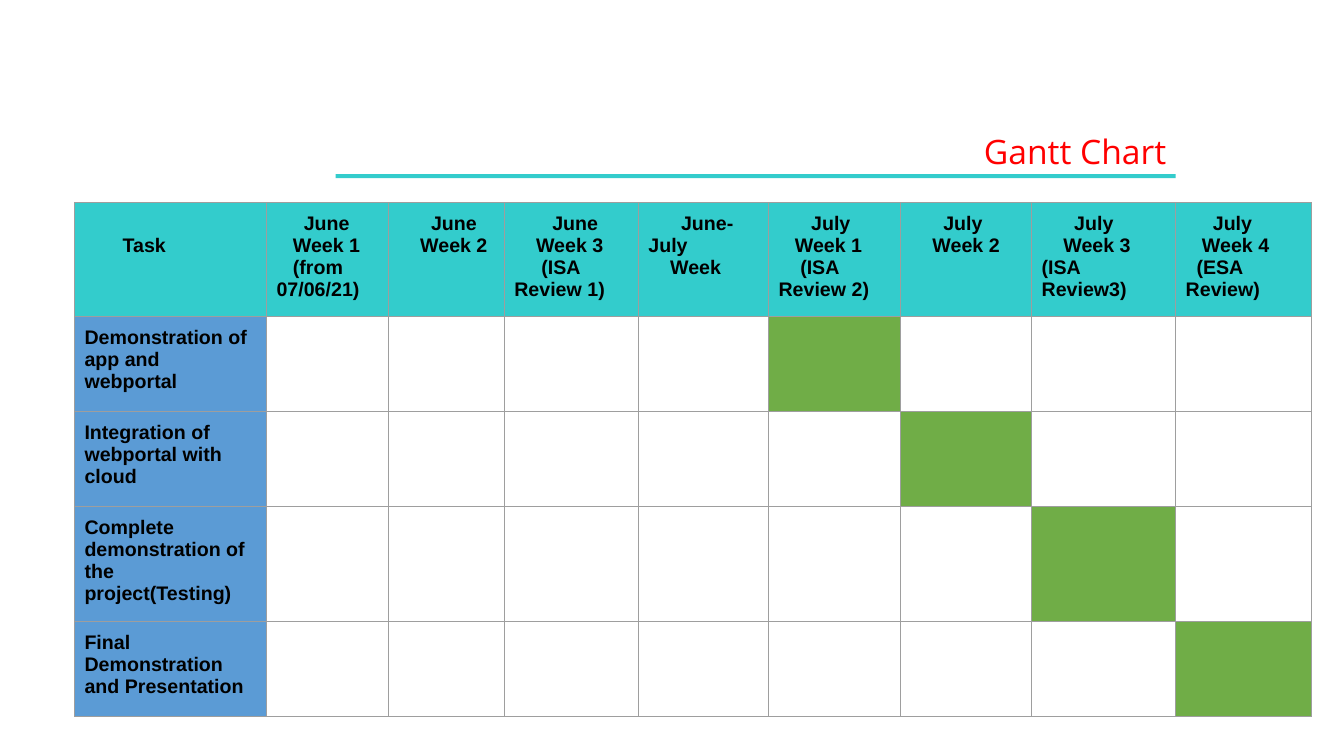
from dataclasses import dataclass

from lxml.etree import SubElement
from pptx import Presentation
from pptx.dml.color import RGBColor
from pptx.enum.shapes import MSO_SHAPE as Preset
from pptx.enum.text import PP_ALIGN as Align
from pptx.oxml.ns import qn
from pptx.slide import Slide
from pptx.table import Table, _Cell as Cell
from pptx.util import Cm, Pt

TEAL = RGBColor(0x33, 0xCC, 0xCC)
BLUE = RGBColor(0x5B, 0x9B, 0xD5)
GREEN = RGBColor(0x70, 0xAD, 0x47)
WHITE = RGBColor(0xFF, 0xFF, 0xFF)
BLACK = RGBColor(0, 0, 0)
RED = RGBColor(0xFF, 0, 0)
GREY = RGBColor(0x9E, 0x9E, 0x9E)

SPACE = Cm(0.137)
PADDING = Cm(0.25)
TASK_TOP = Cm(0.81)
ROW_HEIGHTS = (2.87, 2.39, 2.39, 2.9, 2.39)


@dataclass(frozen=True)
class Line:
    """One heading line and its first-line indent in spaces."""
    text: str
    indent: int = 0


@dataclass(frozen=True)
class Period:
    """One table column: its width in centimetres and its heading."""
    width: float
    heading: tuple[Line, ...]


@dataclass(frozen=True)
class Task:
    """One table row: its label and the column in which it is done."""
    label: str
    due: int


PERIODS = (
    Period(4.84, (Line("Task", 7),)),
    Period(3.07, (Line("June", 5), Line("Week 1", 3), Line("(from 07/06/21)", 3))),
    Period(2.92, (Line("June", 6), Line("Week 2", 4))),
    Period(3.38, (Line("June", 7), Line("Week 3", 4), Line("(ISA", 5), Line("Review 1)"))),
    Period(3.28, (Line("June-July", 6), Line("Week", 4))),
    Period(3.33, (Line("July", 6), Line("Week 1", 3), Line("(ISA", 4), Line("Review 2)"))),
    Period(3.3, (Line("July", 6), Line("Week 2", 4))),
    Period(3.63, (Line("July", 6), Line("Week 3", 4), Line("(ISA Review3)"))),
    Period(3.43, (Line("July", 5), Line("Week 4", 3), Line("(ESA Review)", 2))),
)
TASKS = (
    Task("Demonstration of app and webportal", 5),
    Task("Integration of webportal with cloud", 6),
    Task("Complete demonstration of the project(Testing)", 7),
    Task("Final Demonstration and Presentation", 8),
)


def style_cell(cell: Cell, color: RGBColor) -> None:
    """Give a cell its margins, grey borders and fill."""
    cell.margin_left = cell.margin_right = PADDING
    cell.margin_top = cell.margin_bottom = PADDING
    properties = cell._tc.get_or_add_tcPr()
    for side in ("a:lnL", "a:lnR", "a:lnT", "a:lnB"):
        border = SubElement(properties, qn(side), w=str(Pt(0.75)))
        border_fill = SubElement(border, qn("a:solidFill"))
        SubElement(border_fill, qn("a:srgbClr"), val=str(GREY))
    cell.fill.solid()
    cell.fill.fore_color.rgb = color


def write_lines(cell: Cell, lines: tuple[Line, ...]) -> None:
    """Write bold lines with their own first-line indents."""
    frame = cell.text_frame
    frame.text = "\n".join(line.text for line in lines)
    for paragraph, line in zip(frame.paragraphs, lines):
        properties = paragraph._p.get_or_add_pPr()
        properties.set("marL", "0")
        properties.set("indent", str(line.indent * SPACE))
        font = paragraph.runs[0].font
        font.name, font.size, font.bold = "Arial", Pt(14), True
        font.color.rgb = BLACK


def add_title(slide: Slide) -> None:
    """Add the red title and the rule below it."""
    rule = slide.shapes.add_shape(Preset.RECTANGLE, Cm(8.46), Cm(4.39), Cm(21.17), Cm(0.1))
    rule.shadow.inherit = False
    rule.fill.solid()
    rule.fill.fore_color.rgb = TEAL
    rule.line.fill.background()

    title = slide.shapes.add_textbox(Cm(8.05), Cm(3.18), Cm(21.59), Cm(1.27))
    title.text_frame.word_wrap = True
    title.text_frame.text = "Gantt Chart"
    paragraph = title.text_frame.paragraphs[0]
    paragraph.alignment = Align.RIGHT
    font = paragraph.runs[0].font
    font.name, font.size = "Open Sans", Pt(24)
    font.color.rgb = RED


def add_schedule(slide: Slide) -> Table:
    """Add the table with one row per task and one column per period."""
    width = Cm(sum(period.width for period in PERIODS))
    height = Cm(sum(ROW_HEIGHTS))
    schedule = slide.shapes.add_table(
        len(TASKS) + 1, len(PERIODS), Cm(1.88), Cm(5.11), width, height
    ).table
    schedule.first_row = schedule.horz_banding = False
    for row, row_height in zip(schedule.rows, ROW_HEIGHTS):
        row.height = Cm(row_height)
    for index, period in enumerate(PERIODS):
        schedule.columns[index].width = Cm(period.width)
        style_cell(schedule.cell(0, index), TEAL)
        write_lines(schedule.cell(0, index), period.heading)
    schedule.cell(0, 0).margin_top = TASK_TOP
    for row_index, task in enumerate(TASKS, start=1):
        label_cell = schedule.cell(row_index, 0)
        style_cell(label_cell, BLUE)
        write_lines(label_cell, (Line(task.label),))
        for index in range(1, len(PERIODS)):
            style_cell(schedule.cell(row_index, index), GREEN if index == task.due else WHITE)
    return schedule


def main() -> None:
    """Build and save the Gantt chart slide."""
    deck = Presentation()
    deck.slide_width, deck.slide_height = Cm(33.87), Cm(19.05)
    slide = deck.slides.add_slide(deck.slide_layouts[6])
    add_title(slide)
    add_schedule(slide)
    deck.save("out.pptx")


main()
